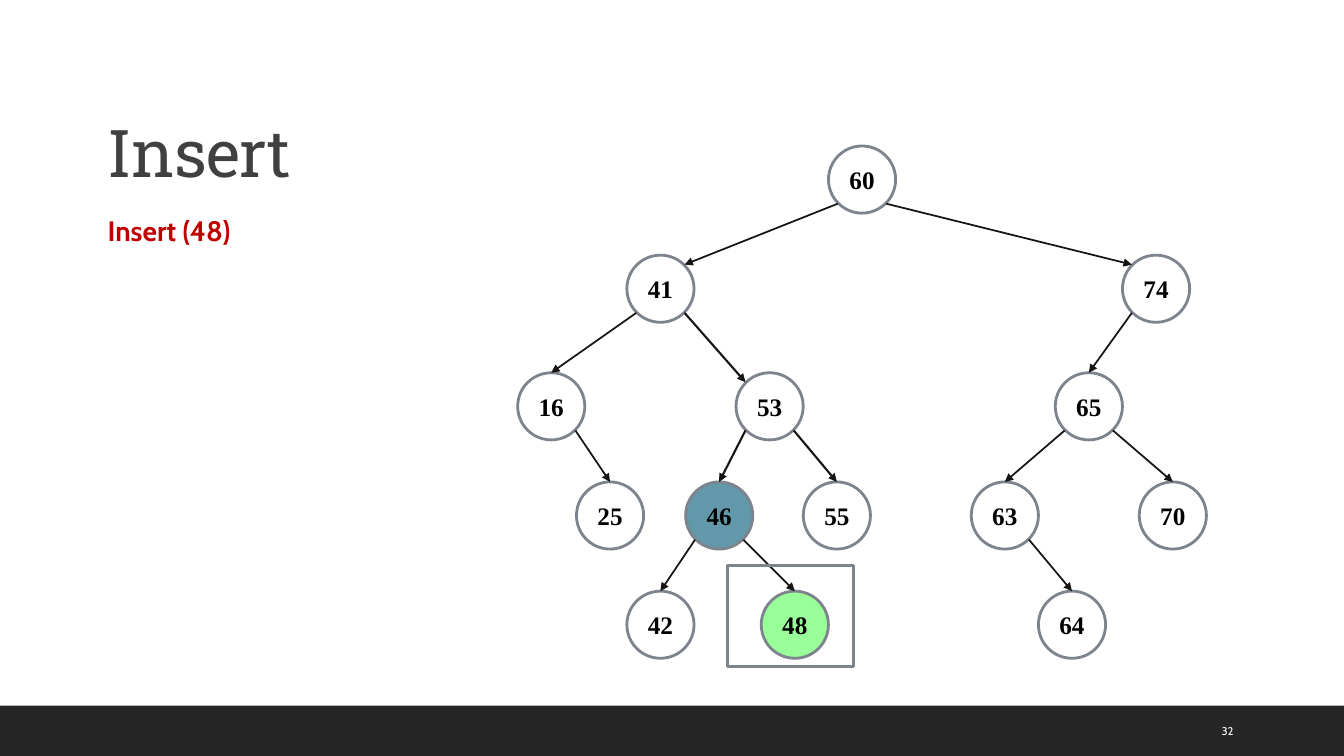
"""Build the binary search tree slide that shows inserting 48."""
import pptx
import pptx.dml.color
import pptx.enum.shapes
import pptx.enum.text
import pptx.oxml.ns
import pptx.util
from lxml import etree

PX = 9525
NODE = 64
CORNER = 9
COLORS = {
    "bar": "262626", "title": "404040", "accent": "C00000", "outline": "7E848D",
    "edge": "161514", "text": "000000", "plain": "FFFFFF", "parent": "6299AA",
    "new": "99FF99",
}
ROWS = [139, 243, 355, 459, 563]
NODES = {
    60: (789, 0), 41: (597, 1), 74: (1069, 1), 16: (493, 2), 53: (701, 2),
    65: (1005, 2), 70: (1085, 3), 63: (925, 3), 64: (989, 4), 55: (765, 3),
    46: (653, 3), 25: (549, 3), 42: (597, 4), 48: (725, 4),
}
FILLS = {46: "parent", 48: "new"}
EDGES = [
    (60, 41), (60, 74), (41, 16), (41, 53), (74, 65), (53, 55), (53, 46),
    (16, 25), (46, 42), (65, 63), (65, 70), (63, 64), (46, 48),
]
CORNER_ENDS = (41, 74, 53)
SHAPES = pptx.enum.shapes.MSO_SHAPE
ANCHOR = pptx.enum.text.MSO_ANCHOR
ALIGN = pptx.enum.text.PP_ALIGN


def px(*values):
    return [pptx.util.Emu(v * PX) for v in values]


def rgb(name):
    return pptx.dml.color.RGBColor.from_string(COLORS[name])


def add_run(p, text, font, size, color, bold=False):
    r = p.add_run()
    r.text = text
    r.font.name = font
    r.font.size = pptx.util.Pt(size)
    r.font.bold = bold
    r.font.color.rgb = rgb(color)
    return r


def add_shape(slide, kind, box, fill=None, line=None):
    sp = slide.shapes.add_shape(kind, *px(*box))
    sp.shadow.inherit = False
    if fill:
        sp.fill.solid()
        sp.fill.fore_color.rgb = rgb(fill)
    else:
        sp.fill.background()
    if line:
        sp.line.color.rgb = rgb(line)
        sp.line.width = pptx.util.Pt(2)
    else:
        sp.line.fill.background()
    return sp


def add_title(slide, text):
    sp = slide.shapes.title
    sp.left, sp.top, sp.width, sp.height = px(93, 34, 1056, 153)
    tf = sp.text_frame
    tf.auto_size = pptx.enum.text.MSO_AUTO_SIZE.NONE
    tf.vertical_anchor = ANCHOR.BOTTOM
    p = tf.paragraphs[0]
    p.alignment = ALIGN.LEFT
    p.line_spacing = 0.9
    r = add_run(p, text, "Roboto Slab", 47, "title")
    r.font._element.set("spc", "-50")


def add_label(slide, box, text, size, color, bold=False, anchor=ANCHOR.TOP):
    tf = slide.shapes.add_textbox(*px(*box)).text_frame
    tf.word_wrap = True
    tf.vertical_anchor = anchor
    add_run(tf.paragraphs[0], text, "Cabin", size, color, bold)


def add_node(slide, key):
    x, row = NODES[key]
    sp = add_shape(slide, SHAPES.OVAL, (x, ROWS[row], NODE, NODE),
                   FILLS.get(key, "plain"), "outline")
    tf = sp.text_frame
    tf.margin_left = tf.margin_right = tf.margin_top = tf.margin_bottom = 0
    tf.word_wrap = False
    tf.vertical_anchor = ANCHOR.MIDDLE
    p = tf.paragraphs[0]
    p.alignment = ALIGN.CENTER
    add_run(p, str(key), "Times New Roman", 18, "text", True)


def add_edge(slide, parent, child):
    (px0, row0), (cx0, row1) = NODES[parent], NODES[child]
    goes_left = cx0 < px0
    near, far = (CORNER, NODE - CORNER) if goes_left else (NODE - CORNER, CORNER)
    x1, y1 = px0 + near, ROWS[row0] + NODE - CORNER
    x2, y2 = cx0 + NODE // 2, ROWS[row1]
    if child in CORNER_ENDS:
        x2, y2 = cx0 + far, y2 + CORNER
    cxn = slide.shapes.add_connector(
        pptx.enum.shapes.MSO_CONNECTOR.STRAIGHT, *px(x1, y1, x2, y2))
    cxn.line.color.rgb = rgb("edge")
    cxn.line.width = pptx.util.Pt(1.5 if 53 in (parent, child) else 1.25)
    qn = pptx.oxml.ns.qn
    etree.SubElement(cxn.line._get_or_add_ln(), qn("a:tailEnd"), type="triangle")
    etree.SubElement(cxn._element.spPr, qn("a:effectLst"))


def main():
    prs = pptx.Presentation()
    prs.slide_width, prs.slide_height = px(1280, 720)
    slide = prs.slides.add_slide(prs.slide_layouts[5])
    add_shape(slide, SHAPES.RECTANGLE, (0, 672, 1280, 48), "bar")
    add_title(slide, "Insert")
    add_label(slide, (93, 199, 160, 42), "Insert (48)", 20, "accent", True)
    for key in NODES:
        add_node(slide, key)
    for parent, child in EDGES:
        add_edge(slide, parent, child)
    add_shape(slide, SHAPES.RECTANGLE, (693, 539, 120, 96), line="outline")
    add_label(slide, (1154, 677, 82, 38), "32", 8, "plain", anchor=ANCHOR.MIDDLE)
    prs.save("out.pptx")


if __name__ == "__main__":
    main()
